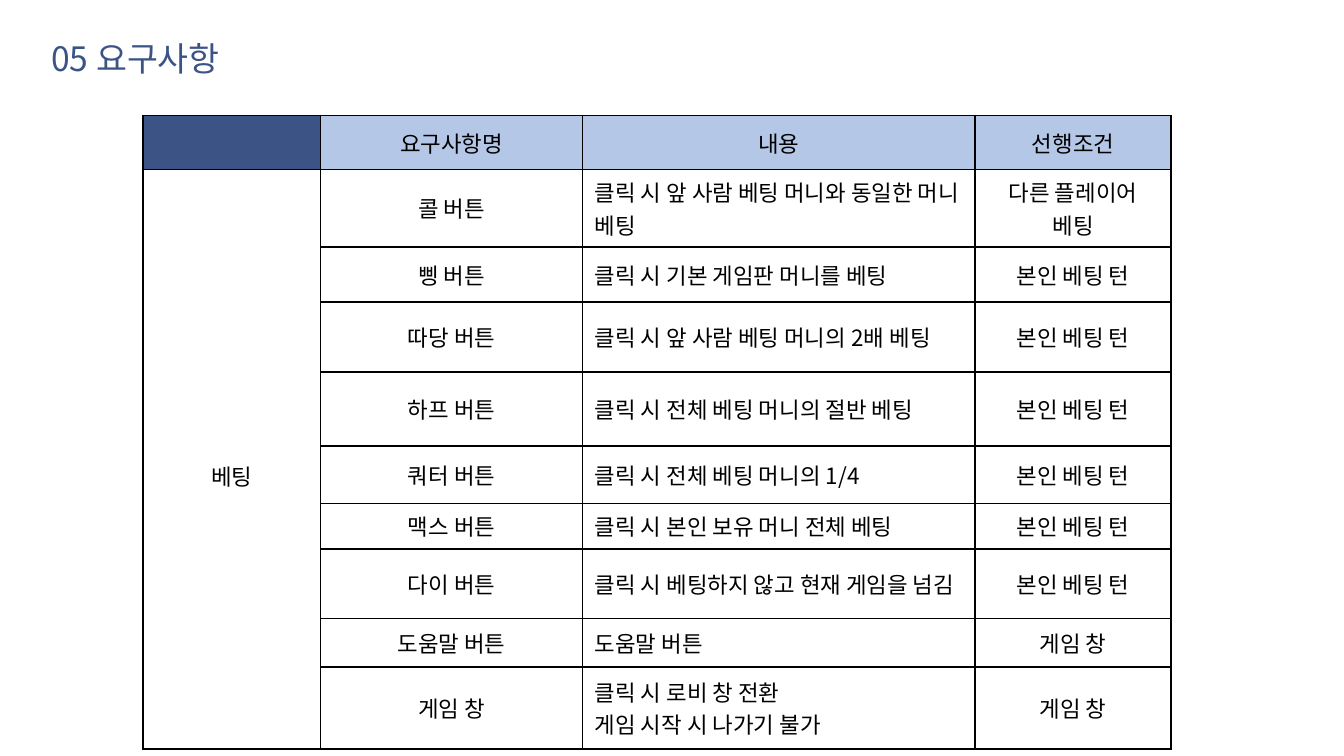
from typing import NamedTuple

from lxml.etree import SubElement
from pptx import Presentation
from pptx.dml.color import RGBColor
from pptx.enum.text import MSO_ANCHOR as Anchor, MSO_AUTO_SIZE as AutoSize, PP_ALIGN as Align
from pptx.oxml.ns import qn
from pptx.util import Cm, Pt

FONT = "Noto Sans CJK KR"
COLORS = {"navy": "3B5385", "header": "B4C7E7", "black": "000000"}
COL_WIDTHS = (3.36, 4.95, 7.42, 3.7)
ROW_HEIGHTS = (1.02, 1.32, 1.04, 1.32, 1.4, 1.09, 0.79, 1.32, 0.91, 1.55)


class Requirement(NamedTuple):
    name: str
    detail: str
    condition: str


HEADER = Requirement("요구사항명", "내용", "선행조건")
MY_TURN = "본인 베팅 턴"
GAME_WINDOW = "게임 창"
REQUIREMENTS = (
    Requirement("콜 버튼", "클릭 시 앞 사람 베팅 머니와 동일한 머니 베팅", "다른 플레이어 베팅"),
    Requirement("삥 버튼", "클릭 시 기본 게임판 머니를 베팅", MY_TURN),
    Requirement("따당 버튼", "클릭 시 앞 사람 베팅 머니의 2배 베팅", MY_TURN),
    Requirement("하프 버튼", "클릭 시 전체 베팅 머니의 절반 베팅", MY_TURN),
    Requirement("쿼터 버튼", "클릭 시 전체 베팅 머니의 1/4", MY_TURN),
    Requirement("맥스 버튼", "클릭 시 본인 보유 머니 전체 베팅", MY_TURN),
    Requirement("다이 버튼", "클릭 시 베팅하지 않고 현재 게임을 넘김", MY_TURN),
    Requirement("도움말 버튼", "도움말 버튼", GAME_WINDOW),
    Requirement("게임 창", "클릭 시 로비 창 전환\n게임 시작 시 나가기 불가", GAME_WINDOW),
)


def write(tf, text: str, size: float, color: str, align=Align.LEFT) -> None:
    """Write one paragraph per line of text."""
    for i, line in enumerate(text.split("\n")):
        p = tf.add_paragraph() if i else tf.paragraphs[0]
        p.alignment = align
        r = p.add_run()
        r.text = line
        r.font.size = Pt(size)
        r.font.name = FONT
        r.font.color.rgb = RGBColor.from_string(COLORS[color])
        SubElement(r.font._element, qn("a:ea"), typeface=FONT)


def style_cell(cell, fill: str = "") -> None:
    """Black borders on every side, then the fill."""
    tc_pr = cell._tc.get_or_add_tcPr()
    for side in ("lnL", "lnR", "lnT", "lnB"):
        ln = SubElement(tc_pr, qn(f"a:{side}"), w=str(Pt(1)))
        solid = SubElement(ln, qn("a:solidFill"))
        SubElement(solid, qn("a:srgbClr"), val=COLORS["black"])
    if fill:
        cell.fill.solid()
        cell.fill.fore_color.rgb = RGBColor.from_string(COLORS[fill])
    else:
        cell.fill.background()
    cell.vertical_anchor = Anchor.MIDDLE
    cell.margin_left = cell.margin_right = Cm(0.23)
    cell.margin_top = cell.margin_bottom = Cm(0.12)


def fill_row(table, row: int, item: Requirement, fill: str = "") -> None:
    for col, text in enumerate(item, start=1):
        left = row > 0 and col == 2
        cell = table.cell(row, col)
        style_cell(cell, fill)
        write(cell.text_frame, text, 12, "black", Align.LEFT if left else Align.CENTER)


def add_title(s, text: str) -> None:
    tf = s.shapes.add_textbox(Cm(0.79), Cm(0.61), Cm(5.94), Cm(0.97)).text_frame
    tf.word_wrap = True
    tf.auto_size = AutoSize.SHAPE_TO_FIT_TEXT
    tf.margin_left = tf.margin_right = Cm(0.18)
    tf.margin_top = tf.margin_bottom = Cm(0.1)
    write(tf, text, 18, "navy")


def add_requirements(s) -> None:
    frame = s.shapes.add_table(len(ROW_HEIGHTS), len(COL_WIDTHS), Cm(2.7), Cm(2.18),
                               Cm(sum(COL_WIDTHS)), Cm(sum(ROW_HEIGHTS)))
    table = frame.table
    table.first_row = table.horz_banding = False
    for col, width in zip(table.columns, COL_WIDTHS):
        col.width = Cm(width)
    for row, height in zip(table.rows, ROW_HEIGHTS):
        row.height = Cm(height)

    # Header row and requirement rows
    style_cell(table.cell(0, 0), "navy")
    fill_row(table, 0, HEADER, "header")
    for row, item in enumerate(REQUIREMENTS, start=1):
        style_cell(table.cell(row, 0))
        fill_row(table, row, item)

    # Category cell, set slightly below the middle
    category = table.cell(1, 0)
    category.merge(table.cell(len(REQUIREMENTS), 0))
    category.margin_top = Cm(0.75)
    write(category.text_frame, "베팅", 12, "black", Align.CENTER)


def main() -> None:
    prs = Presentation()
    prs.slide_width, prs.slide_height = Cm(25.4), Cm(14.29)
    s = prs.slides.add_slide(prs.slide_layouts[6])
    add_requirements(s)
    add_title(s, "05 요구사항")
    prs.save("out.pptx")


if __name__ == "__main__":
    main()
